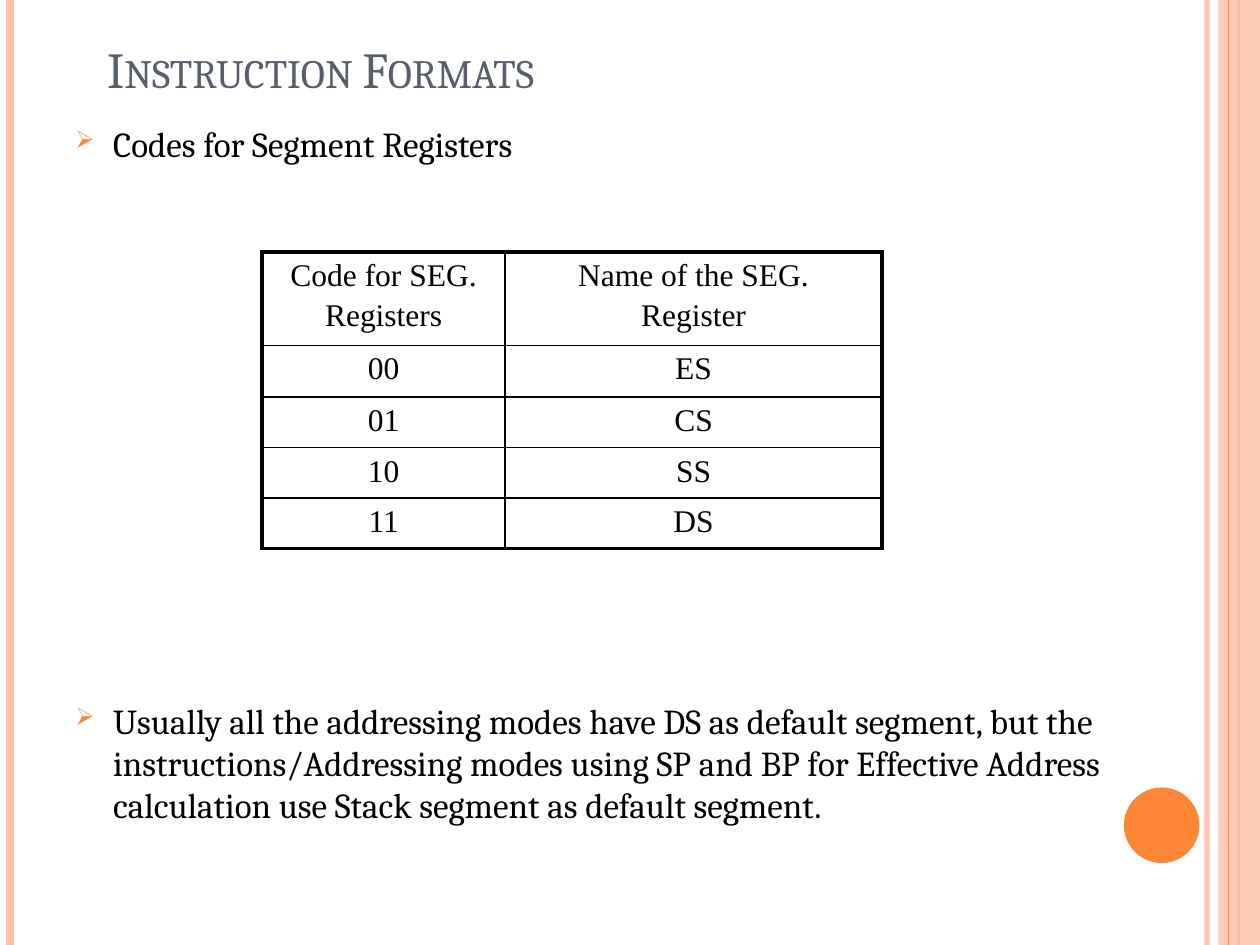
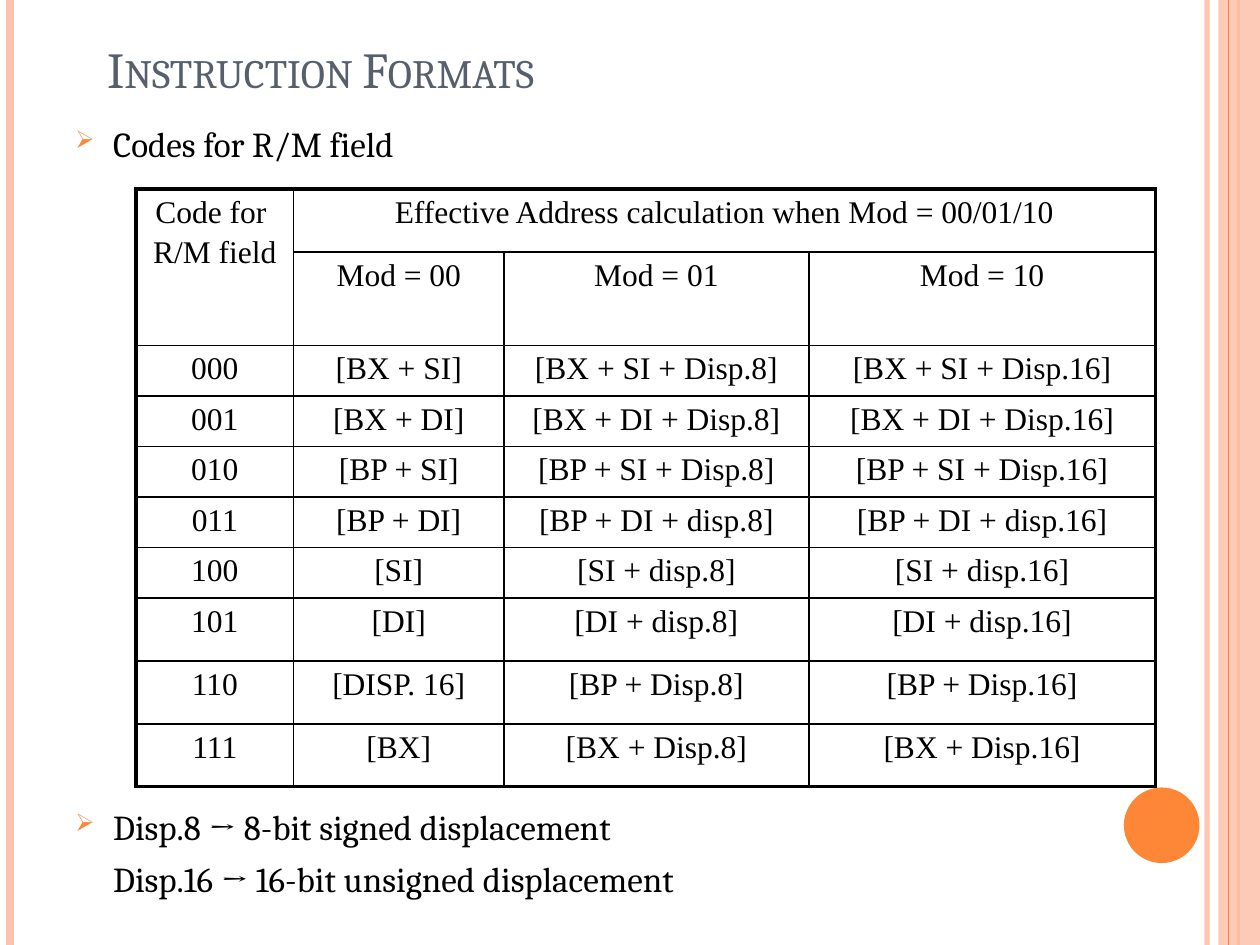
from lxml import etree
from pptx import Presentation
from pptx import util as u
from pptx.dml.color import RGBColor
from pptx.enum import shapes, text
from pptx.oxml import ns

BLACK = RGBColor(0, 0, 0)
SLATE = RGBColor(0x57, 0x5F, 0x6D)
ORANGE = RGBColor(0xFE, 0x86, 0x37)
PEACH = RGBColor(0xFE, 0xC3, 0xAE)

HEADING_FONT = "Cambria"
TABLE_FONT = "Times New Roman"
PAGE_HEIGHT = 7.5
THICK, THIN = 2.25, 1
RULES = [(9.58, PEACH, 3, 93), (0.08, PEACH, 4.5, 100), (9.83, ORANGE, 1.5, 100)]
INNER_RULE = (9.75, ORANGE, 0.75, 100)

SEGMENT_ROWS = [
    ["Code for SEG.\nRegisters", "Name of the SEG.\nRegister"],
    ["00", "ES"],
    ["01", "CS"],
    ["10", "SS"],
    ["11", "DS"],
]
RM_ROWS = [
    ["Code for \nR/M field", "Effective Address calculation when Mod = 00/01/10", "", ""],
    ["", "Mod = 00", "Mod = 01", "Mod = 10"],
    ["000", "[BX + SI]", "[BX + SI + Disp.8]", "[BX + SI + Disp.16]"],
    ["001", "[BX + DI]", "[BX + DI + Disp.8]", "[BX + DI + Disp.16]"],
    ["010", "[BP + SI]", "[BP + SI + Disp.8]", "[BP + SI + Disp.16]"],
    ["011", "[BP + DI]", "[BP + DI + disp.8]", "[BP + DI + disp.16]"],
    ["100", "[SI]", "[SI + disp.8]", "[SI + disp.16]"],
    ["101", "[DI]", "[DI + disp.8]", "[DI + disp.16]"],
    ["110", "[DISP. 16]", "[BP + Disp.8]", "[BP + Disp.16]"],
    ["111", "[BX]", "[BX + Disp.8]", "[BX + Disp.16]"],
]


def add_child(parent, tag, **attributes):
    return etree.SubElement(parent, ns.qn(tag), attributes)


def set_font(paragraph, name, size, color):
    paragraph.font.name = name
    paragraph.font.size = u.Pt(size)
    paragraph.font.color.rgb = color


def set_opacity(part, percent):
    if percent < 100:
        color = part._element.spPr.find(".//" + ns.qn("a:srgbClr"))
        add_child(color, "a:alpha", val=str(percent * 1000))


def add_rule(slide, x, color, width, opacity):
    rule = slide.shapes.add_connector(
        shapes.MSO_CONNECTOR.STRAIGHT,
        u.Inches(x), 0, u.Inches(x), u.Inches(PAGE_HEIGHT))
    rule.line.color.rgb = color
    rule.line.width = u.Pt(width)
    set_opacity(rule, opacity)
    add_child(rule._element.spPr, "a:effectLst")


def add_block(slide, preset, left, top, width, height, color, opacity=100):
    block = slide.shapes.add_shape(
        preset, *(u.Inches(v) for v in (left, top, width, height)))
    block.shadow.inherit = False
    block.fill.solid()
    block.fill.fore_color.rgb = color
    block.line.fill.background()
    set_opacity(block, opacity)


def add_frame(slide):
    for rule in RULES:
        add_rule(slide, *rule)
    add_block(slide, shapes.MSO_SHAPE.RECTANGLE, 9.67, 0, 0.33, PAGE_HEIGHT, PEACH, 87)
    add_rule(slide, *INNER_RULE)
    add_block(slide, shapes.MSO_SHAPE.OVAL, 8.92, 6.25, 0.6, 0.6, ORANGE)


def set_title(slide, wording):
    title = slide.shapes.title
    title.left, title.top = u.Inches(0.75), u.Inches(0.25)
    title.width, title.height = u.Inches(8.5), u.Inches(0.58)
    frame = title.text_frame
    frame.text = wording
    frame.auto_size = text.MSO_AUTO_SIZE.NONE
    frame.vertical_anchor = text.MSO_ANCHOR.BOTTOM
    heading = frame.paragraphs[0]
    heading.alignment = text.PP_ALIGN.LEFT
    set_font(heading, HEADING_FONT, 28.8, SLATE)
    heading.runs[0]._r.get_or_add_rPr().set("cap", "small")


def add_bullet(paragraph):
    properties = paragraph._p.get_or_add_pPr()
    properties.set("indent", str(-u.Inches(0.3)))
    color = add_child(properties, "a:buClr")
    add_child(color, "a:srgbClr", val=str(ORANGE))
    add_child(properties, "a:buSzPct", val="70000")
    add_child(properties, "a:buChar", char="➢")


def add_point(slide, top, height, *lines):
    box = slide.shapes.add_textbox(
        u.Inches(0.5), u.Inches(top), u.Inches(9), u.Inches(height))
    frame = box.text_frame
    frame.word_wrap = True
    frame.text = "\n".join(lines)
    for index, line in enumerate(frame.paragraphs):
        line._p.get_or_add_pPr().set("marL", str(u.Inches(0.3)))
        if index:
            line.space_before = u.Pt(6)
        else:
            add_bullet(line)
        set_font(line, HEADING_FONT, 20, BLACK)


def set_borders(cell, on_edge):
    properties = cell._tc.get_or_add_tcPr()
    for side in "LRTB":
        width = u.Pt(THICK if on_edge[side] else THIN)
        border = add_child(properties, "a:ln" + side, w=str(width))
        fill = add_child(border, "a:solidFill")
        add_child(fill, "a:srgbClr", val=str(BLACK))


def add_code_table(slide, left, top, widths, heights, rows, merges=()):
    table = slide.shapes.add_table(
        len(rows), len(widths), u.Inches(left), u.Inches(top),
        u.Inches(sum(widths)), u.Inches(sum(heights))).table
    table.first_row = table.horz_banding = False
    for column, width in zip(table.columns, widths):
        column.width = u.Inches(width)
    for row, height in zip(table.rows, heights):
        row.height = u.Inches(height)
    for first, last in merges:
        table.cell(*first).merge(table.cell(*last))
    for r, row in enumerate(rows):
        for c, wording in enumerate(row):
            cell = table.cell(r, c)
            set_borders(cell, {
                "L": c == 0,
                "R": c + cell.span_width == len(widths),
                "T": r == 0,
                "B": r + cell.span_height == len(rows),
            })
            cell.fill.background()
            if cell.is_spanned:
                continue
            cell.text = wording
            for index, line in enumerate(cell.text_frame.paragraphs):
                line.alignment = text.PP_ALIGN.CENTER
                if index:
                    line.space_before = u.Pt(3)
                set_font(line, TABLE_FONT, 18, BLACK)


def start_slide(deck):
    slide = deck.slides.add_slide(deck.slide_layouts[5])
    add_frame(slide)
    set_title(slide, "Instruction Formats")
    return slide


def main():
    deck = Presentation()
    deck.slide_width, deck.slide_height = u.Inches(10), u.Inches(PAGE_HEIGHT)

    segments = start_slide(deck)
    add_point(segments, 0.92, 0.45, "Codes for Segment Registers")
    add_code_table(segments, 2.08, 2, [1.93, 2.99],
                   [0.7, 0.41] + [0.38] * 3, SEGMENT_ROWS)
    add_point(segments, 5.5, 1.15,
              "Usually all the addressing modes have DS as default segment, but the "
              "instructions/Addressing modes using SP and BP for Effective Address "
              "calculation use Stack segment as default segment.")

    rm_field = start_slide(deck)
    add_point(rm_field, 0.92, 0.45, "Codes for R/M field")
    add_code_table(rm_field, 1.08, 1.5, [1.25, 1.67, 2.42, 2.75],
                   [0.5, 0.7] + [0.38] * 4 + [0.4] + [0.5] * 3, RM_ROWS,
                   merges=[((0, 0), (1, 0)), ((0, 1), (0, 3))])
    add_point(rm_field, 6.34, 0.9,
              "Disp.8 → 8-bit signed displacement",
              "Disp.16 → 16-bit unsigned displacement")

    deck.save("out.pptx")


if __name__ == "__main__":
    main()
